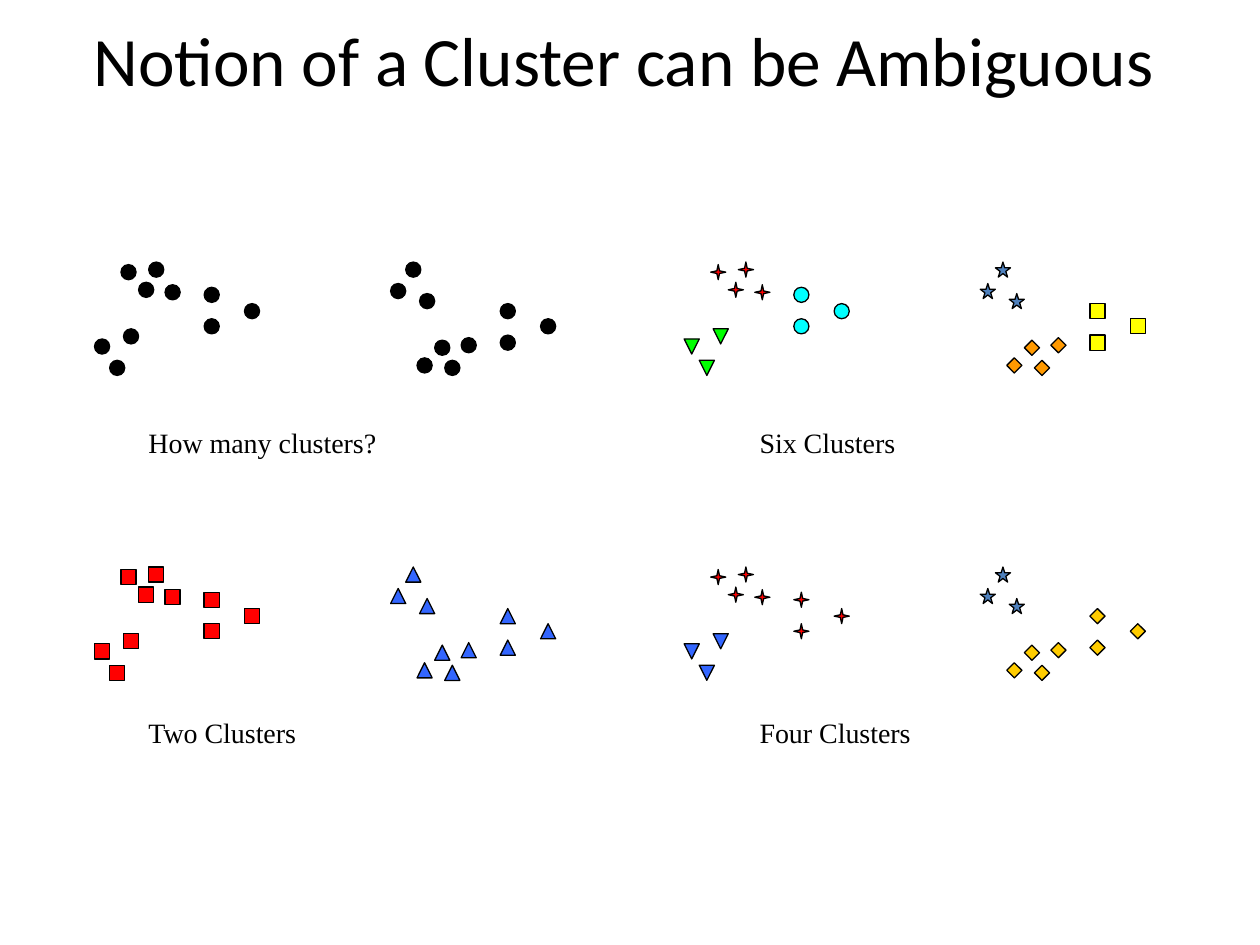
"""Build a slide showing four ways to cluster the same twenty points."""
from dataclasses import dataclass

from pptx import Presentation
from pptx.dml.color import RGBColor
from pptx.enum import shapes, text
from pptx.shapes.group import GroupShape
from pptx.slide import Slide
from pptx.util import Inches, Pt

MSO = shapes.MSO_SHAPE


@dataclass(frozen=True)
class Theme:
    """Colours, fonts and sizes of the slide."""

    black: str = "000000"
    red: str = "FF0000"
    blue: str = "3366FF"
    steel: str = "4F81BD"
    green: str = "00FF00"
    cyan: str = "00FFFF"
    yellow: str = "FFFF00"
    orange: str = "FF9900"
    gold: str = "FFCC00"
    title_font: str = "Calibri"
    caption_font: str = "Times New Roman"
    title_size: float = 39.6
    caption_size: float = 16
    outline: float = 0.75


@dataclass(frozen=True)
class Marker:
    """Shape and fill that stand for one cluster."""

    kind: shapes.MSO_SHAPE
    fill: str


@dataclass(frozen=True)
class Panel:
    """One clustering, with markers for the quad, trio and side points."""

    caption: str
    x: float
    y: float
    caption_x: float
    caption_y: float
    left: tuple[Marker, Marker, Marker]
    right: tuple[Marker, Marker, Marker]


THEME = Theme()
SIZE = 0.12
MIRROR_DX = 2.35
SPAN_Y = 0.78
QUAD = ((0.56, 0.18), (0.21, 0.02), (0.43, 0), (0.35, 0.16))
TRIO = ((0.23, 0.53), (0, 0.61), (0.12, 0.78))
SIDE = ((0.87, 0.2), (1.19, 0.33), (0.87, 0.45))

DOT = Marker(MSO.OVAL, THEME.black)
RED_SQUARE = Marker(MSO.RECTANGLE, THEME.red)
BLUE_TRIANGLE = Marker(MSO.ISOSCELES_TRIANGLE, THEME.blue)
BLUE_EXTRACT = Marker(MSO.FLOWCHART_EXTRACT, THEME.blue)
GREEN_TRIANGLE = Marker(MSO.ISOSCELES_TRIANGLE, THEME.green)
RED_STAR = Marker(MSO.STAR_4_POINT, THEME.red)
STEEL_STAR = Marker(MSO.STAR_5_POINT, THEME.steel)
CYAN_DOT = Marker(MSO.OVAL, THEME.cyan)
YELLOW_SQUARE = Marker(MSO.RECTANGLE, THEME.yellow)
ORANGE_DIAMOND = Marker(MSO.DIAMOND, THEME.orange)
GOLD_DIAMOND = Marker(MSO.DIAMOND, THEME.gold)

PANELS = (
    Panel("How many clusters?", 0.75, 2.08, 1.08, 3.33, (DOT,) * 3, (DOT,) * 3),
    Panel("Four Clusters", 5.43, 4.5, 5.93, 5.63,
          (RED_STAR, BLUE_EXTRACT, RED_STAR),
          (GOLD_DIAMOND, STEEL_STAR, GOLD_DIAMOND)),
    Panel("Two Clusters", 0.75, 4.5, 1.08, 5.63,
          (RED_SQUARE,) * 3, (BLUE_TRIANGLE,) * 3),
    Panel("Six Clusters", 5.43, 2.08, 5.93, 3.33,
          (RED_STAR, GREEN_TRIANGLE, CYAN_DOT),
          (ORANGE_DIAMOND, STEEL_STAR, YELLOW_SQUARE)),
)


def add_run(p, words: str, font: str, size: float) -> None:
    """Add a black run to a paragraph."""
    r = p.add_run()
    r.text = words
    r.font.name = font
    r.font.size = Pt(size)
    r.font.color.rgb = RGBColor.from_string(THEME.black)


def add_title(slide: Slide, words: str) -> None:
    """Place and fill the title."""
    sp = slide.shapes.title
    sp.left, sp.top = Inches(0.42), Inches(0.17)
    sp.width, sp.height = Inches(9.06), Inches(0.6)
    tf = sp.text_frame
    tf.vertical_anchor = text.MSO_ANCHOR.MIDDLE
    tf.auto_size = text.MSO_AUTO_SIZE.NONE
    p = tf.paragraphs[0]
    p.alignment = text.PP_ALIGN.CENTER
    add_run(p, words, THEME.title_font, THEME.title_size)


def add_marker(group: GroupShape, marker: Marker, x: float, y: float,
               flipped: bool) -> None:
    """Draw one data point."""
    sp = group.shapes.add_shape(
        marker.kind, Inches(x), Inches(y), Inches(SIZE), Inches(SIZE))
    sp.shadow.inherit = False
    sp.fill.solid()
    sp.fill.fore_color.rgb = RGBColor.from_string(marker.fill)
    sp.line.color.rgb = RGBColor.from_string(THEME.black)
    sp.line.width = Pt(THEME.outline)
    if marker.kind == MSO.STAR_4_POINT:
        sp.adjustments[0] = 0.125
    if flipped:
        sp._element.spPr.xfrm.set("flipV", "1")


def add_caption(group: GroupShape, panel: Panel) -> None:
    """Write the caption under a panel."""
    sp = group.shapes.add_textbox(
        Inches(panel.caption_x), Inches(panel.caption_y), Inches(2.5), Inches(0.37))
    tf = sp.text_frame
    tf.word_wrap = True
    tf.auto_size = text.MSO_AUTO_SIZE.SHAPE_TO_FIT_TEXT
    add_run(tf.paragraphs[0], panel.caption, THEME.caption_font, THEME.caption_size)


def add_panel(slide: Slide, panel: Panel) -> None:
    """Draw the right points as the left ones mirrored top to bottom."""
    group = slide.shapes.add_group_shape()
    for markers, is_left in ((panel.right, False), (panel.left, True)):
        for marker, points in zip(markers, (QUAD, TRIO, SIDE)):
            for dx, dy in points:
                x = panel.x + dx + (0 if is_left else MIRROR_DX)
                y = panel.y + (dy if is_left else SPAN_Y - dy)
                add_marker(group, marker, x, y, is_left)
    add_caption(group, panel)


def main() -> None:
    """Build and save the presentation."""
    prs = Presentation()
    prs.slide_width, prs.slide_height = Inches(10), Inches(7.5)
    slide = prs.slides.add_slide(prs.slide_layouts.get_by_name("Title Only"))
    add_title(slide, "Notion of a Cluster can be Ambiguous")
    for panel in PANELS:
        add_panel(slide, panel)
    prs.save("out.pptx")


if __name__ == "__main__":
    main()
